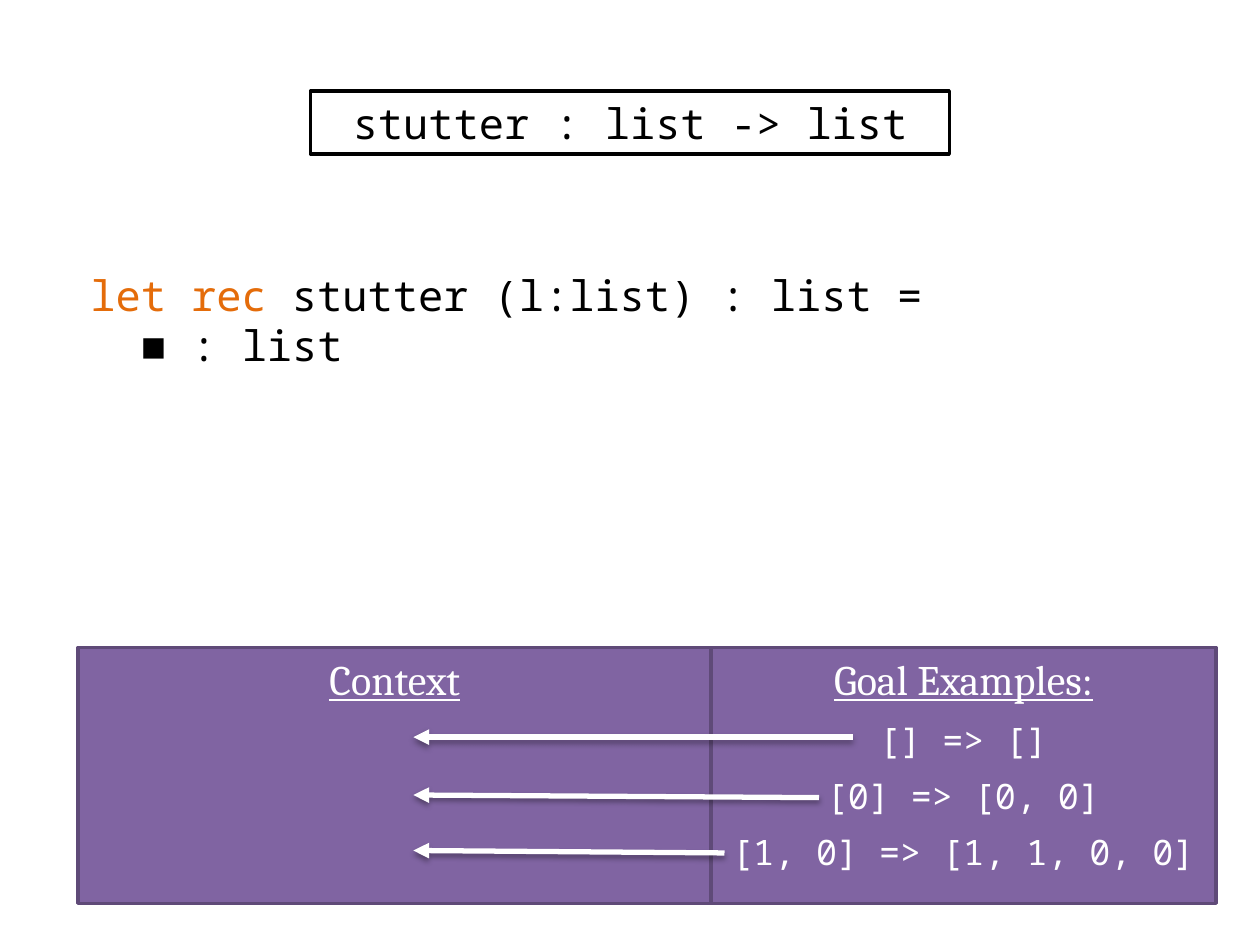
import pptx
import pptx.dml.color
import pptx.enum.shapes
import pptx.enum.text
import pptx.oxml
import pptx.oxml.ns
import pptx.util

Pt = pptx.util.Pt
RGBColor = pptx.dml.color.RGBColor
RECTANGLE = pptx.enum.shapes.MSO_SHAPE.RECTANGLE
STRAIGHT = pptx.enum.shapes.MSO_CONNECTOR.STRAIGHT
CENTER = pptx.enum.text.PP_ALIGN.CENTER
TOP = pptx.enum.text.MSO_ANCHOR.TOP

BLACK = RGBColor(0x00, 0x00, 0x00)
WHITE = RGBColor(0xFF, 0xFF, 0xFF)
ORANGE = RGBColor(0xE4, 0x6C, 0x0A)
PURPLE = RGBColor(0x80, 0x64, 0xA2)
DARK_PURPLE = RGBColor(0x5F, 0x4A, 0x78)

MONO = "Noto Sans Mono"
CODE = {"name": MONO, "size": Pt(24)}
HEADING = {"name": "Cambria", "size": Pt(24), "underline": True}
EXAMPLE = {"name": MONO, "size": Pt(20)}

ARROW_SHADOW = (
    f'<a:effectLst {pptx.oxml.ns.nsdecls("a")}>'
    f'<a:outerShdw blurRad="{Pt(3.1)}" dist="{Pt(1.8)}" dir="5400000" rotWithShape="0">'
    '<a:srgbClr val="000000"><a:alpha val="35000"/></a:srgbClr>'
    '</a:outerShdw></a:effectLst>'
)
ARROWHEAD = f'<a:tailEnd {pptx.oxml.ns.nsdecls("a")} type="triangle"/>'


def add_run(paragraph, text, color, font_format):
    run = paragraph.add_run()
    run.text = text
    run.font.color.rgb = color
    for attribute, value in font_format.items():
        setattr(run.font, attribute, value)


def add_panel(left, top, width, height, fill, outline):
    """Add an outlined rectangle and return its text frame."""
    panel = slide.shapes.add_shape(RECTANGLE, Pt(left), Pt(top), Pt(width), Pt(height))
    panel.shadow.inherit = False
    panel.fill.solid()
    panel.fill.fore_color.rgb = fill
    panel.line.color.rgb = outline
    panel.line.width = Pt(2)
    panel.text_frame.vertical_anchor = TOP
    return panel.text_frame


presentation = pptx.Presentation()
presentation.slide_width = Pt(720)
presentation.slide_height = Pt(540)
slide = presentation.slides.add_slide(presentation.slide_layouts[6])

# Type signature
signature = add_panel(177.5, 52, 365, 36, WHITE, BLACK).paragraphs[0]
signature.alignment = CENTER
add_run(signature, "stutter : list -> list", BLACK, CODE)

# Program with its hole
program = slide.shapes.add_textbox(Pt(44.6), Pt(150.5), Pt(498), Pt(65.5)).text_frame
program.word_wrap = True
header = program.paragraphs[0]
add_run(header, "let rec", ORANGE, CODE)
add_run(header, " stutter (l:list) : list =", BLACK, CODE)
hole = program.add_paragraph()
add_run(hole, "  ", BLACK, CODE)
add_run(hole, "■", BLACK, CODE | {"name": "Arial"})
add_run(hole, " : list", BLACK, CODE)

# Goal and context panels
examples = ["[] => []", "[0] => [0, 0]", "[1, 0] => [1, 1, 0, 0]"]
for left, width, heading, lines in [
    (406.2, 288.7, "Goal Examples:", examples),
    (44.6, 361.8, "Context", []),
]:
    frame = add_panel(left, 370, width, 146.2, PURPLE, DARK_PURPLE)
    frame.word_wrap = True
    title = frame.paragraphs[0]
    title.alignment = CENTER
    add_run(title, heading, WHITE, HEADING)
    for line in lines:
        example = frame.add_paragraph()
        example.alignment = CENTER
        example.space_before = Pt(8)
        add_run(example, line, WHITE, EXAMPLE)

# Arrows from each example into the context
for start_x, start_y, tip_y in [(487.4, 421.2, 421.2), (468, 455.8, 454.3), (414, 487.4, 486)]:
    arrow = slide.shapes.add_connector(STRAIGHT, Pt(start_x), Pt(start_y), Pt(236.2), Pt(tip_y))
    arrow.line.color.rgb = WHITE
    arrow.line.width = Pt(3)
    arrow.line._get_or_add_ln().append(pptx.oxml.parse_xml(ARROWHEAD))
    arrow._element.spPr.append(pptx.oxml.parse_xml(ARROW_SHADOW))

presentation.save("out.pptx")
